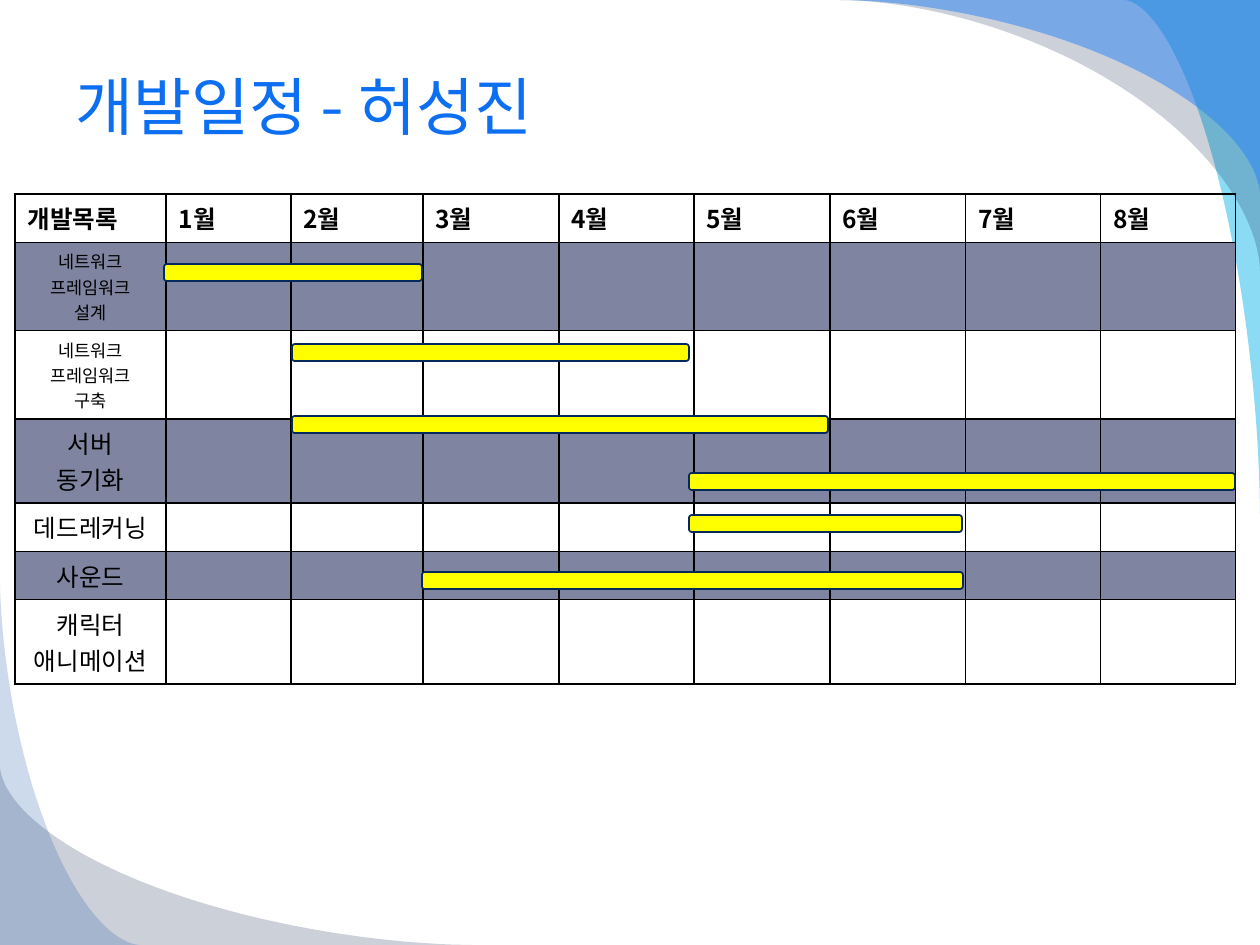
from math import cos, pi, sin

from lxml.etree import SubElement
from pptx import Presentation
from pptx.dml.color import RGBColor
from pptx.enum.shapes import MSO_SHAPE
from pptx.enum.text import MSO_ANCHOR, PP_ALIGN
from pptx.oxml.ns import qn
from pptx.util import Pt

PX = 914400 / 126
COLORS = {
    "title": "0C6FF2", "text": "000000", "grid": "000000", "band": "7F85A0",
    "bar": "FFFF00", "bar_line": "04295A",
    "cyan": "00B1E9", "navy": "021741", "sky": "247FF4", "blue": "084AA1",
}
KOREAN = "Noto Sans CJK KR"


def set_fill(fill, color, opacity=100):
    fill.solid()
    fill.fore_color.rgb = RGBColor.from_string(COLORS[color])
    if opacity < 100:
        srgb = fill._xPr.find(".//" + qn("a:srgbClr"))
        SubElement(srgb, qn("a:alpha"), val=str(opacity * 1000))


def add_run(paragraph, text, size, color, latin=KOREAN, bold=False):
    run = paragraph.add_run()
    run.text = text
    run.font.size = Pt(size)
    run.font.bold = bold
    run.font.name = latin
    run.font.color.rgb = RGBColor.from_string(COLORS[color])
    SubElement(run._r.rPr, qn("a:ea"), typeface=KOREAN)


prs = Presentation()
prs.slide_width, prs.slide_height = round(1260 * PX), round(945 * PX)
slide = prs.slides.add_slide(prs.slide_layouts[5])

# Corner swirls: one curve, stretched from a slide corner by a signed width and height
SWIRLS = [
    (1260, 0, -136, 514, "cyan", 45),
    (1260, 0, -420, 271, "navy", 20),
    (1260, 0, -420, 195, "sky", 49),
    (0, 945, 472, -179, "navy", 20),
    (0, 945, 140, -368, "blue", 20),
]
STEPS, BULGE = 48, 1.14
for corner_x, corner_y, width, height, color, opacity in SWIRLS:
    curve = []
    for step in range(STEPS + 1):
        angle = step / STEPS * pi / 2
        across = 1 - sin(angle) ** BULGE
        down = 1 - max(cos(angle), 0) ** BULGE
        curve.append(((corner_x + width * across) * PX, (corner_y + height * down) * PX))
    builder = slide.shapes.build_freeform(round(corner_x * PX), round(corner_y * PX))
    builder.add_line_segments(curve, close=True)
    swirl = builder.convert_to_shape()
    swirl.shadow.inherit = False
    set_fill(swirl.fill, color, opacity)
    swirl.line.fill.background()

# Title, in front of the swirls
title = slide.shapes.title
slide.shapes._spTree.append(title._element)
title.left, title.top, title.width, title.height = (round(v * PX) for v in (63, 42, 1134, 127))
title.text_frame.vertical_anchor = MSO_ANCHOR.MIDDLE
heading = title.text_frame.paragraphs[0]
heading.alignment = PP_ALIGN.LEFT
add_run(heading, "개발일정 - 허성진", 36, "title", latin="Karla")

# Schedule table
COLUMNS = [151, 125, 132, 136, 135, 136, 136, 135, 135]
ROWS = [43, 25, 72, 44, 42, 40, 72]
HEADER = ["개발목록"] + [f"{month}월" for month in range(1, 9)]
TASKS = [
    (["네트워크", "프레임워크", "설계"], 10),
    (["네트워크", "프레임워크", "구축"], 10),
    (["서버", "동기화"], 14),
    (["데드레커닝"], 14),
    (["사운드"], 14),
    (["캐릭터", "애니메이션"], 14),
]
frame = slide.shapes.add_table(
    len(ROWS), len(COLUMNS),
    *(round(v * PX) for v in (15, 194, sum(COLUMNS), sum(ROWS))))
schedule = frame.table
schedule.first_row = schedule.horz_banding = False
for column, width in zip(schedule.columns, COLUMNS):
    column.width = round(width * PX)
for row, height in zip(schedule.rows, ROWS):
    row.height = round(height * PX)

for r in range(len(ROWS)):
    for c in range(len(COLUMNS)):
        cell = schedule.cell(r, c)
        first = cell.text_frame.paragraphs[0]
        if r == 0:
            add_run(first, HEADER[c], 14, "text", bold=True)
        elif c == 0:
            lines, size = TASKS[r - 1]
            for i, line in enumerate(lines):
                paragraph = cell.text_frame.add_paragraph() if i else first
                paragraph.alignment = PP_ALIGN.CENTER
                add_run(paragraph, line, size, "text")
        else:
            SubElement(first._p, qn("a:endParaRPr"), sz="1000")

        # Borders come before the fill in the cell's properties
        props = cell._tc.get_or_add_tcPr()
        for side in ("a:lnL", "a:lnR", "a:lnT", "a:lnB"):
            border = SubElement(props, qn(side), w=str(Pt(1)))
            ink = SubElement(border, qn("a:solidFill"))
            SubElement(ink, qn("a:srgbClr"), val=COLORS["grid"])
        if r % 2:
            set_fill(cell.fill, "band", 20)
        else:
            cell.fill.background()

# Schedule bars: left, top, width
BARS = [
    (164, 264, 258),
    (292, 344, 397),
    (292, 416, 536),
    (689, 473, 546),
    (689, 515, 273),
    (422, 572, 541),
]
for left, top, width in BARS:
    bar = slide.shapes.add_shape(
        MSO_SHAPE.FLOWCHART_ALTERNATE_PROCESS,
        *(round(v * PX) for v in (left, top, width, 17)))
    bar.shadow.inherit = False
    set_fill(bar.fill, "bar")
    set_fill(bar.line.fill, "bar_line")
    bar.line.width = Pt(1)

prs.save("out.pptx")
